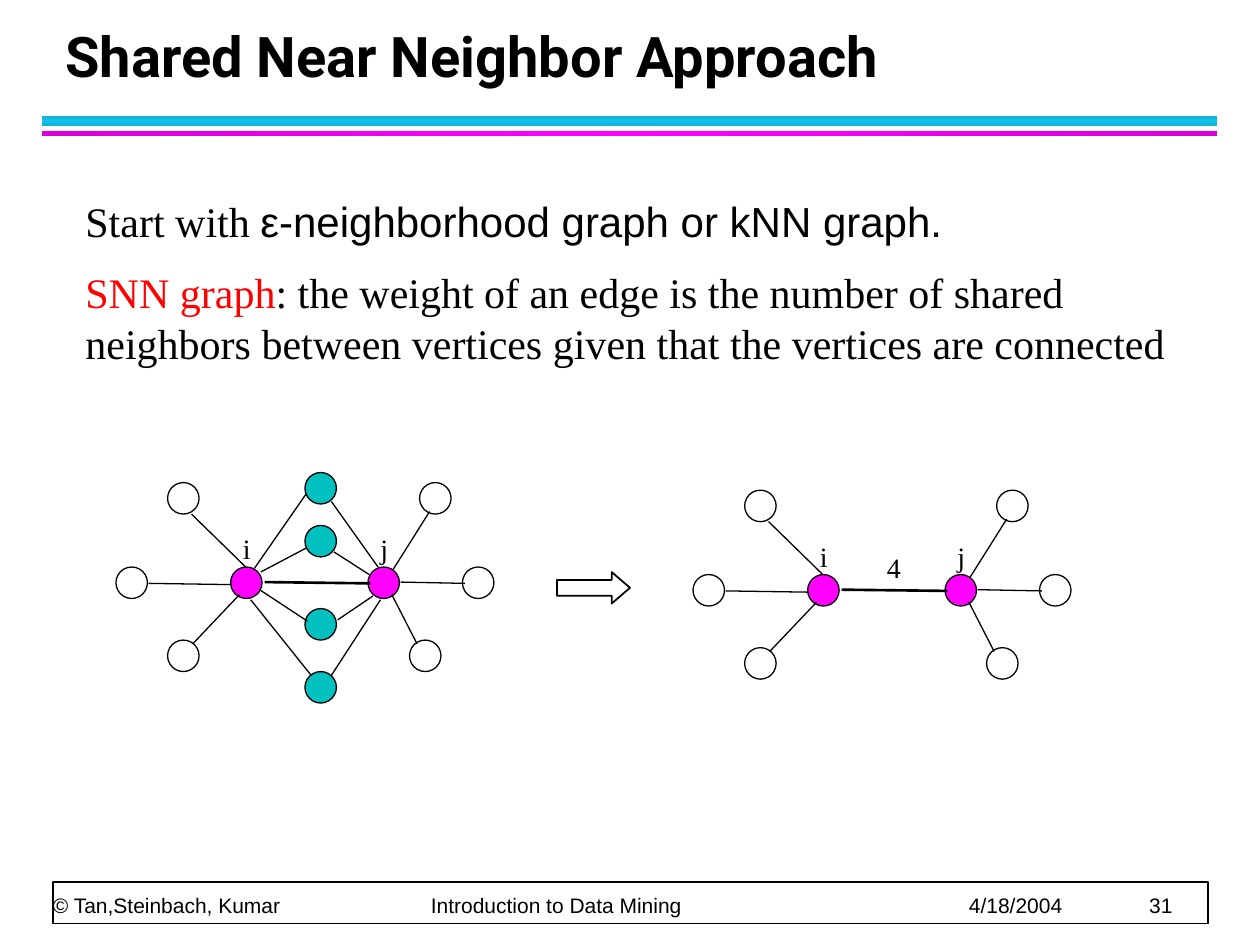
from dataclasses import dataclass
from typing import NamedTuple

from lxml.etree import SubElement
from pptx import Presentation
from pptx.dml.color import RGBColor
from pptx.enum.shapes import MSO_CONNECTOR, MSO_SHAPE
from pptx.enum.text import MSO_ANCHOR
from pptx.oxml.ns import qn
from pptx.util import Inches, Pt


@dataclass(frozen=True)
class Theme:
    black: str = "000000"
    white: str = "FFFFFF"
    red: str = "FF0000"
    endpoint: str = "FF00FF"
    shared: str = "00C0C0"
    cyan_bar: tuple = ("10B0D3", "12C2E9", "10B0D3")
    magenta_bar: tuple = ("DA00DA", "FF00FF", "DA00DA")
    serif: str = "Times New Roman"
    sans: str = "Arial"
    heading: str = "Roboto"
    title_size: int = 32
    body_size: int = 24
    label_size: int = 16
    footer_size: int = 12
    thin: float = 0.75
    outline: float = 1
    thick: float = 1.5


THEME = Theme()
NODE_SIZE = 0.25


class Box(NamedTuple):
    left: float
    top: float
    width: float
    height: float


class Node(NamedTuple):
    left: float
    top: float
    color: str | None = None


class Edge(NamedTuple):
    x1: float
    y1: float
    x2: float
    y2: float
    weight: float = THEME.thin


class Label(NamedTuple):
    text: str
    left: float
    top: float
    width: float = 0.33


class Run(NamedTuple):
    text: str
    size: float
    font: str = THEME.serif
    color: str = THEME.black
    bold: bool = False


# Both graphs share the endpoints and their unshared neighbors
NODES = [
    Node(1.83, 4.5, THEME.endpoint), Node(2.92, 4.5, THEME.endpoint),
    Node(1.33, 5.08), Node(0.92, 4.5), Node(1.33, 3.83),
    Node(3.33, 3.83), Node(3.25, 5.08), Node(3.67, 4.5),
]
EDGES = [
    Edge(1.53, 5.11, 1.9, 4.72), Edge(1.18, 4.63, 1.84, 4.64),
    Edge(1.52, 4.08, 1.95, 4.5), Edge(2.1, 4.62, 2.94, 4.63, THEME.thick),
    Edge(3.18, 4.62, 3.69, 4.63), Edge(3.31, 5.11, 3.11, 4.72),
    Edge(3.12, 4.52, 3.41, 4.06),
]
LABELS = [Label("i", 1.83, 4.17), Label("j", 2.92, 4.17)]

# Neighbors shared by i and j
SHARED_NODES = [Node(2.42, top, THEME.shared) for top in (3.75, 4.17, 4.83, 5.33)]
SHARED_EDGES = [
    Edge(2.07, 4.54, 2.43, 4.35), Edge(2.06, 4.68, 2.44, 4.93),
    Edge(2.47, 5.36, 1.99, 4.76), Edge(2.02, 4.51, 2.43, 3.92),
    Edge(2.68, 4.92, 2.96, 4.73), Edge(2.63, 5.36, 3.02, 4.76),
    Edge(2.93, 4.56, 2.65, 4.38), Edge(3, 4.5, 2.63, 3.98),
]
WEIGHT_LABEL = Label("4", 2.36, 4.26, 0.37)


def add_shape(slide, kind, box: Box, fill: str | None = None, line: float | None = None):
    shape = slide.shapes.add_shape(kind, *map(Inches, box))
    shape.shadow.inherit = False
    if fill:
        shape.fill.solid()
        shape.fill.fore_color.rgb = RGBColor.from_string(fill)
    else:
        shape.fill.background()
    if line:
        shape.line.color.rgb = RGBColor.from_string(THEME.black)
        shape.line.width = Pt(line)
    else:
        shape.line.fill.background()
    return shape


def add_bar(slide, box: Box, colors: tuple, angle: float) -> None:
    bar = add_shape(slide, MSO_SHAPE.RECTANGLE, box)
    bar.fill.gradient()
    bar.fill.gradient_angle = angle
    stops = next(bar.element.iter(qn("a:gsLst")))
    for stop in list(stops):
        stops.remove(stop)
    for index, color in enumerate(colors):
        stop = SubElement(stops, qn("a:gs"), pos=str(index * 50000))
        SubElement(stop, qn("a:srgbClr"), val=color)


def add_line(slide, edge: Edge) -> None:
    points = map(Inches, (edge.x1, edge.y1, edge.x2, edge.y2))
    line = slide.shapes.add_connector(MSO_CONNECTOR.STRAIGHT, *points)
    line.line.color.rgb = RGBColor.from_string(THEME.black)
    line.line.width = Pt(edge.weight)
    SubElement(line.element.spPr, qn("a:effectLst"))


def add_text(slide, box: Box, paragraphs: list[list[Run]], anchor=MSO_ANCHOR.TOP,
             line_spacing: float | None = None, space_before: float = 0):
    text_box = slide.shapes.add_textbox(*map(Inches, box))
    frame = text_box.text_frame
    frame.word_wrap = True
    frame.vertical_anchor = anchor
    for index, runs in enumerate(paragraphs):
        paragraph = frame.add_paragraph() if index else frame.paragraphs[0]
        paragraph.space_before = Pt(space_before)
        if line_spacing:
            paragraph.line_spacing = Pt(line_spacing)
        for item in runs:
            run = paragraph.add_run()
            run.text = item.text
            run.font.size = Pt(item.size)
            run.font.name = item.font
            run.font.bold = item.bold
            run.font.color.rgb = RGBColor.from_string(item.color)
    return frame


def add_graph(slide, nodes: list[Node], edges: list[Edge], labels: list[Label],
              dx: float = 0, dy: float = 0) -> None:
    for node in nodes:
        box = Box(node.left + dx, node.top + dy, NODE_SIZE, NODE_SIZE)
        add_shape(slide, MSO_SHAPE.OVAL, box, node.color, THEME.thin)
    for label in labels:
        box = Box(label.left + dx, label.top + dy, label.width, 0.37)
        add_text(slide, box, [[Run(label.text, THEME.label_size)]])
    for edge in edges:
        add_line(slide, Edge(edge.x1 + dx, edge.y1 + dy, edge.x2 + dx, edge.y2 + dy, edge.weight))


def add_footer(slide) -> None:
    add_shape(slide, MSO_SHAPE.RECTANGLE, Box(0.42, 7, 9.17, 0.33), THEME.white, THEME.outline)
    parts = ["© Tan,Steinbach, Kumar", "Introduction to Data Mining", "4/18/2004", "31"]
    footer = Run("\t".join(parts), THEME.footer_size, THEME.sans)
    frame = add_text(slide, Box(0.42, 7, 9.15, 0.28), [[footer]], MSO_ANCHOR.BOTTOM, 20)
    frame.margin_left = frame.margin_right = frame.margin_top = frame.margin_bottom = 0
    tabs = SubElement(frame.paragraphs[0]._p.get_or_add_pPr(), qn("a:tabLst"))
    for position in (3, 7.27, 8.7):
        SubElement(tabs, qn("a:tab"), pos=str(Inches(position)), algn="l")


def main() -> None:
    presentation = Presentation()
    presentation.slide_width, presentation.slide_height = Inches(10), Inches(7.5)
    slide = presentation.slides.add_slide(presentation.slide_layouts[6])

    # Title and its rules
    add_bar(slide, Box(0.33, 0.92, 9.33, 0.08), THEME.cyan_bar, 90)
    add_bar(slide, Box(0.33, 1.04, 9.33, 0.04), THEME.magenta_bar, 0)
    title = Run("Shared Near Neighbor Approach", THEME.title_size, THEME.heading, bold=True)
    add_text(slide, Box(0.42, 0.17, 9.06, 0.58), [[title]], MSO_ANCHOR.BOTTOM, 36)

    # Explanation
    size = THEME.body_size
    add_text(slide, Box(0.58, 1.5, 8.83, 1.51), [
        [Run("Start with ", size),
         Run("ε-neighborhood graph or kNN graph.", size, THEME.sans)],
        [Run("SNN graph", size, color=THEME.red),
         Run(": the weight of an edge is the number of shared neighbors between "
             "vertices given that the vertices are connected", size)],
    ], space_before=12)

    # Neighborhood graph, arrow, and weighted graph
    add_graph(slide, NODES + SHARED_NODES, EDGES + SHARED_EDGES, LABELS)
    arrow = add_shape(slide, MSO_SHAPE.RIGHT_ARROW, Box(4.42, 4.54, 0.58, 0.25), line=THEME.outline)
    arrow.adjustments[1] = 0.58
    add_graph(slide, NODES, EDGES, LABELS + [WEIGHT_LABEL], 4.58, 0.06)

    add_footer(slide)
    presentation.save("out.pptx")


if __name__ == "__main__":
    main()
